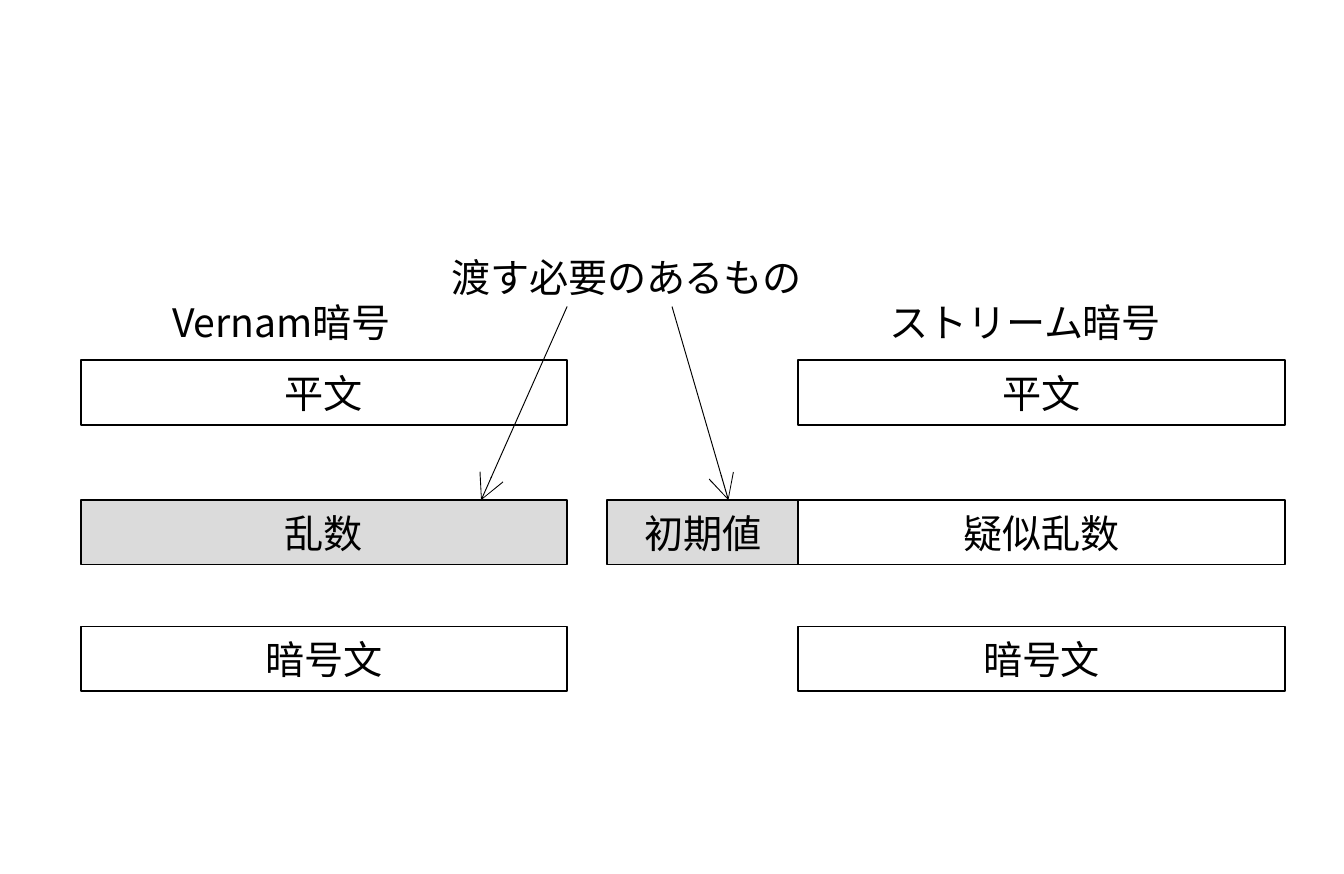
import dataclasses

import lxml.etree
import pptx
import pptx.dml.color
import pptx.enum.shapes
import pptx.enum.text
import pptx.oxml.ns
import pptx.util

Inches = pptx.util.Inches
Pt = pptx.util.Pt
qn = pptx.oxml.ns.qn
Align = pptx.enum.text.PP_ALIGN
Anchor = pptx.enum.text.MSO_ANCHOR


@dataclasses.dataclass(frozen=True)
class Theme:
    font: str = "Noto Sans CJK JP"
    size: float = 10.5
    ink: str = "000000"
    alpha: int = 14
    edge: float = 0.5
    thin: float = 0.25


def color(code):
    return pptx.dml.color.RGBColor.from_string(code)


def write(frame, text, *, theme, align=Align.LEFT):
    para = frame.paragraphs[0]
    para.alignment = align
    run = para.add_run()
    run.text = text
    run.font.name = theme.font
    run.font.size = Pt(theme.size)
    run.font.color.rgb = color(theme.ink)
    asian = lxml.etree.SubElement(run.font._element, qn("a:ea"))
    asian.set("typeface", theme.font)


class Sketch:
    def __init__(self, slide, theme):
        self.slide = slide
        self.theme = theme

    def bar(self, text, left, top, width, height, shade=False):
        """Draw an outlined data block; shade marks what must be shared."""
        rect = pptx.enum.shapes.MSO_SHAPE.RECTANGLE
        box = self.slide.shapes.add_shape(
            rect, Inches(left), Inches(top), Inches(width), Inches(height))
        box.shadow.inherit = False
        if shade:
            box.fill.solid()
            box.fill.fore_color.rgb = color(self.theme.ink)
            tint = box.fill._xPr.find(qn("a:solidFill"))[0]
            alpha = lxml.etree.SubElement(tint, qn("a:alpha"))
            alpha.set("val", str(self.theme.alpha * 1000))
        else:
            box.fill.background()
        box.line.color.rgb = color(self.theme.ink)
        box.line.width = Pt(self.theme.edge)
        box.text_frame.vertical_anchor = Anchor.MIDDLE
        write(box.text_frame, text, theme=self.theme, align=Align.CENTER)

    def label(self, text, left, top, width, height=0.22):
        box = self.slide.shapes.add_textbox(
            Inches(left), Inches(top), Inches(width), Inches(height))
        frame = box.text_frame
        frame.margin_left = frame.margin_right = Inches(0.05)
        frame.margin_top = frame.margin_bottom = Inches(0.02)
        frame.word_wrap = False
        frame.auto_size = pptx.enum.text.MSO_AUTO_SIZE.SHAPE_TO_FIT_TEXT
        write(frame, text, theme=self.theme)

    def arrow(self, start, end):
        kind = pptx.enum.shapes.MSO_CONNECTOR.STRAIGHT
        points = [Inches(value) for value in (*start, *end)]
        link = self.slide.shapes.add_connector(kind, *points)
        link.line.color.rgb = color(self.theme.ink)
        link.line.width = Pt(self.theme.thin)
        tail = lxml.etree.SubElement(link.line._ln, qn("a:tailEnd"))
        tail.set("type", "arrow")
        lxml.etree.SubElement(link._element.spPr, qn("a:effectLst"))


def main():
    deck = pptx.Presentation()
    deck.slide_width = Inches(5)
    deck.slide_height = Inches(3.25)
    sketch = Sketch(deck.slides.add_slide(deck.slide_layouts[6]), Theme())

    width, height, seed = 1.81, 0.24, 0.71
    plain, key, cipher = 1.34, 1.86, 2.33
    vernam, stream = 0.3, 2.97

    for left, name in ((vernam, "乱数"), (stream, "疑似乱数")):
        sketch.bar("平文", left, plain, width, height)
        sketch.bar(name, left, key, width, height, shade=left == vernam)
        sketch.bar("暗号文", left, cipher, width, height)
    sketch.bar("初期値", stream - seed, key, seed, height, shade=True)

    sketch.label("Vernam暗号", 0.59, 1.09, 0.99)
    sketch.label("ストリーム暗号", 3.26, 1.09, 1.13)
    sketch.label("渡す必要のあるもの", 1.63, 0.92, 1.42)

    for start, end in ((2.11, 1.79), (2.5, 2.71)):
        sketch.arrow((start, 1.14), (end, key))

    deck.save("out.pptx")


if __name__ == "__main__":
    main()
